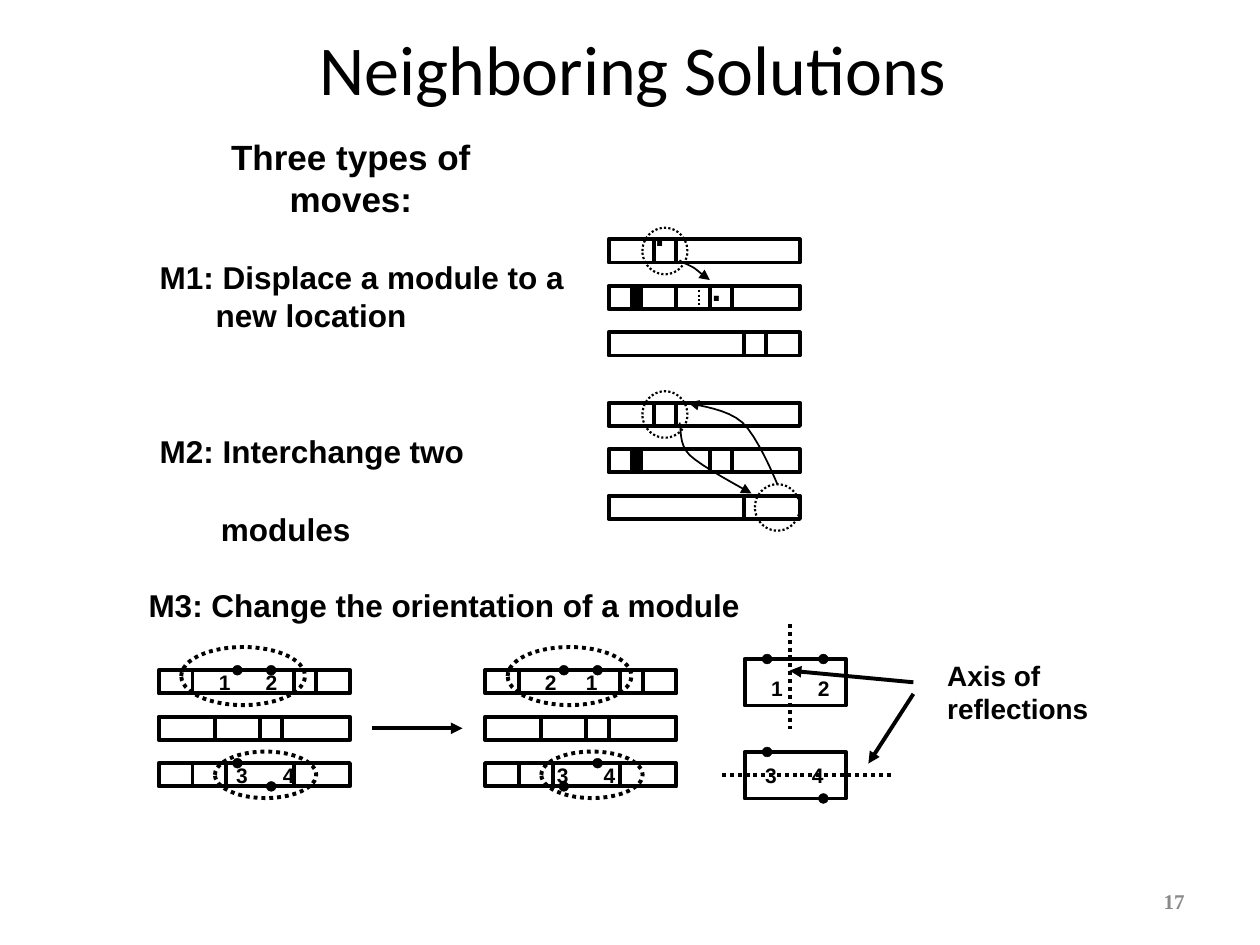
from lxml import etree
from pptx import Presentation
from pptx.dml.color import RGBColor
from pptx.enum import dml, shapes, text
from pptx.oxml import ns
from pptx.util import Pt

BLACK, GREY = "000000", "898989"
UNIT_X, UNIT_Y = 6.43, 6.64  # one grid step of the drawings
ROW_WIDTH, ROW_HEIGHT, ROW_PITCH = 17, 2, 4  # in grid steps
SHAPE = shapes.MSO_SHAPE
DOTTED = dml.MSO_LINE.ROUND_DOT
LEFT, CENTER, RIGHT = text.PP_ALIGN.LEFT, text.PP_ALIGN.CENTER, text.PP_ALIGN.RIGHT


def outline(shape, width=2.25, dash=None, arrow=False):
    """Give a shape or connector a plain black line, without fill or shadow."""
    if hasattr(shape, "fill"):
        shape.fill.background()
        shape.shadow.inherit = False
    else:
        etree.SubElement(shape._element.spPr, ns.qn("a:effectLst"))
    shape.line.color.rgb = RGBColor.from_string(BLACK)
    shape.line.width = Pt(width)
    if dash:
        shape.line.dash_style = dash
    if arrow:
        etree.SubElement(shape.line._get_or_add_ln(), ns.qn("a:tailEnd"), type="triangle")


def write(words, left, top, width, height, size, align=LEFT, anchor=text.MSO_ANCHOR.TOP,
          font="Arial", color=BLACK, tab=None):
    box = page.shapes.add_textbox(Pt(left), Pt(top), Pt(width), Pt(height))
    frame = box.text_frame
    frame.word_wrap = True
    frame.vertical_anchor = anchor
    frame.text = words
    for para in frame.paragraphs:
        para.alignment = align
        if tab:
            stops = etree.SubElement(para._p.get_or_add_pPr(), ns.qn("a:tabLst"))
            etree.SubElement(stops, ns.qn("a:tab"), pos=str(Pt(tab)), algn="l")
        para.font.name, para.font.size, para.font.bold = font, Pt(size), True
        para.font.color.rgb = RGBColor.from_string(color)
    return frame.paragraphs


deck = Presentation()
deck.slide_width, deck.slide_height = Pt(720), Pt(540)
page = deck.slides.add_slide(deck.slide_layouts[5])

title = page.shapes.title
title.left, title.top, title.width, title.height = Pt(39.6), Pt(14.4), Pt(644.4), Pt(48.2)
title.text_frame.text = "Neighboring Solutions"
title.text_frame.vertical_anchor = text.MSO_ANCHOR.MIDDLE
heading = title.text_frame.paragraphs[0]
heading.alignment = CENTER
heading.font.name, heading.font.size = "Calibri", Pt(40)
heading.font.color.rgb = RGBColor.from_string(BLACK)

# Wording
middle = text.MSO_ANCHOR.MIDDLE
write("17", 516.2, 500.4, 167.8, 28.8, 12, RIGHT, middle, "Times New Roman", GREY)
write("Three types of moves:", 87.1, 85.7, 226.8, 31.7, 20, CENTER, middle)
displace = write("M1: Displace a module to a new location", 84.2, 144, 250.6, 50.4, 18)[0]
displace._p.get_or_add_pPr().set("marL", str(Pt(32)))
displace._p.get_or_add_pPr().set("indent", str(Pt(-32)))
interchange = write("M2: Interchange two\nmodules", 84.2, 243.4, 270, 72, 18)[1]
interchange.space_before = Pt(23)
interchange._p.get_or_add_pPr().set("marL", str(Pt(35)))
write("M3: Change the orientation of a module", 77.8, 331.2, 392.4, 28.8, 18)
write("Axis of reflections", 534.2, 372.2, 125.3, 46.1, 16, anchor=middle)
for left, top in ((367.2, 117.4), (399.6, 149)):
    write(".", left, top, 25.9, 31.7, 20)

# Drawings: origin, dividers of each row, then ellipses and boxes, straight lines,
# curves and pin dots, all in grid steps from the origin
drawings = [
    dict(origin=(347.8, 136.8), rows=[(4, 6), (6, 9, 11), (12, 14)],
         fine_ellipses=[(4 - 1, -1, 4, 4)], solid=[(2, 4, 1, 2)],
         fine_lines=[(8, 4, 8, 6)],
         curves=[[(6.3, 1.8), (6.5, 1.95), (7.1, 2.2), (7.5, 2.4),
                  (8, 2.7), (8.7, 3.4), (9, 3.5)]]),
    dict(origin=(347.8, 230.2), rows=[(4, 6), (9, 11), (12,)],
         fine_ellipses=[(3, -1, 4, 4), (13, 7, 4, 4)], solid=[(2, 4, 1, 2)],
         curves=[[(15, 7), (14.6, 6.1), (13.2, 2.9), (11.9, 1.7),
                  (10.5, 0.5), (8.1, 0.3), (7.1, 0)],
                 [(6.3, 1.7), (6.5, 2.3), (6.2, 3.5), (7.2, 4.5),
                  (8.3, 5.5), (11.8, 7.3), (12.7, 7.8)]]),
    dict(origin=(90.7, 383), rows=[(3, 12, 14), (5, 9, 11), (3, 6, 12)],
         ellipses=[(2, -2, 11, 5), (5, 7, 9, 4)],
         dots=[(7, 0), (10, 0), (7, 8), (10, 10)], arrows=[(19, 5, 27, 5)]),
    dict(origin=(277.2, 383), rows=[(3, 12, 14), (5, 9, 11), (3, 6, 12)],
         ellipses=[(2, -2, 11, 5), (5, 7, 9, 4)],
         dots=[(7, 0), (10, 0), (7, 10), (10, 8)]),
    dict(origin=(425.5, 376.6), boxes=[(0, 0, 9, 4), (0, 8, 9, 4)],
         dotted_lines=[(4, -3, 4, 6), (-2, 10, 13, 10)],
         dots=[(2, 0), (7, 0), (2, 8), (7, 12)],
         arrows=[(15, 2, 4, 1), (15, 3, 11, 9)]),
]
AREAS = (("boxes", SHAPE.RECTANGLE, 2.25, None), ("solid", SHAPE.RECTANGLE, 0.75, None),
         ("ellipses", SHAPE.OVAL, 2.25, DOTTED), ("fine_ellipses", SHAPE.OVAL, 1.25, DOTTED))
LINES = (("dividers", 2.25, None), ("dotted_lines", 2.25, DOTTED),
         ("fine_lines", 1.25, DOTTED), ("arrows", 2.25, None))
DOT = 5.6

for drawing in drawings:
    x0, y0 = drawing["origin"]
    rows = drawing.get("rows", [])
    drawing.setdefault("boxes", [(0, ROW_PITCH * i, ROW_WIDTH, ROW_HEIGHT)
                                 for i in range(len(rows))])
    drawing["dividers"] = [(x, ROW_PITCH * i, x, ROW_PITCH * i + ROW_HEIGHT)
                           for i, row in enumerate(rows) for x in row]
    for kind, preset, width, dash in AREAS:
        for x, y, across, down in drawing.get(kind, []):
            area = page.shapes.add_shape(preset, Pt(x0 + x * UNIT_X), Pt(y0 + y * UNIT_Y),
                                         Pt(across * UNIT_X), Pt(down * UNIT_Y))
            outline(area, width, dash)
            if kind == "solid":
                area.fill.solid()
                area.fill.fore_color.rgb = RGBColor.from_string(BLACK)
    for kind, width, dash in LINES:
        for x1, y1, x2, y2 in drawing.get(kind, []):
            line = page.shapes.add_connector(
                shapes.MSO_CONNECTOR.STRAIGHT, Pt(x0 + x1 * UNIT_X), Pt(y0 + y1 * UNIT_Y),
                Pt(x0 + x2 * UNIT_X), Pt(y0 + y2 * UNIT_Y))
            outline(line, width, dash, kind == "arrows")
    for x, y in drawing.get("dots", []):
        dot = page.shapes.add_shape(SHAPE.OVAL, Pt(x0 + x * UNIT_X - DOT / 2),
                                    Pt(y0 + y * UNIT_Y - DOT / 2), Pt(DOT), Pt(DOT))
        outline(dot, 0.25)
        dot.fill.solid()
        dot.fill.fore_color.rgb = RGBColor.from_string(BLACK)
    for controls in drawing.get("curves", []):
        # Two cubic Bezier pieces, each sampled in eight steps
        track = [controls[0]]
        for piece in (controls[:4], controls[3:]):
            for step in range(1, 9):
                t = step / 8
                weights = ((1 - t) ** 3, 3 * t * (1 - t) ** 2, 3 * t * t * (1 - t), t ** 3)
                track.append([sum(w * point[axis] for w, point in zip(weights, piece))
                              for axis in (0, 1)])
        points = [(Pt(x0 + x * UNIT_X), Pt(y0 + y * UNIT_Y)) for x, y in track]
        builder = page.shapes.build_freeform(*points[0])
        builder.add_line_segments(points[1:], close=False)
        outline(builder.convert_to_shape(), 1, arrow=True)

# Pin numbers: words, left edge and middle of the first digit, distance to the second
for words, left, center, gap in (
        ("1\t2", 125.2, 390, 26.7), ("3\t4", 135, 442.8, 26.7),
        ("2\t1", 311.5, 390, 23.4), ("3\t4", 318.4, 442.8, 26.7),
        ("1\t2", 440.7, 393, 26.7), ("3\t4", 437.3, 442.8, 26.7)):
    write(words, left - 7.2, center - 10.8, 60, 21.6, 12, anchor=middle, tab=gap)

deck.save("out.pptx")
